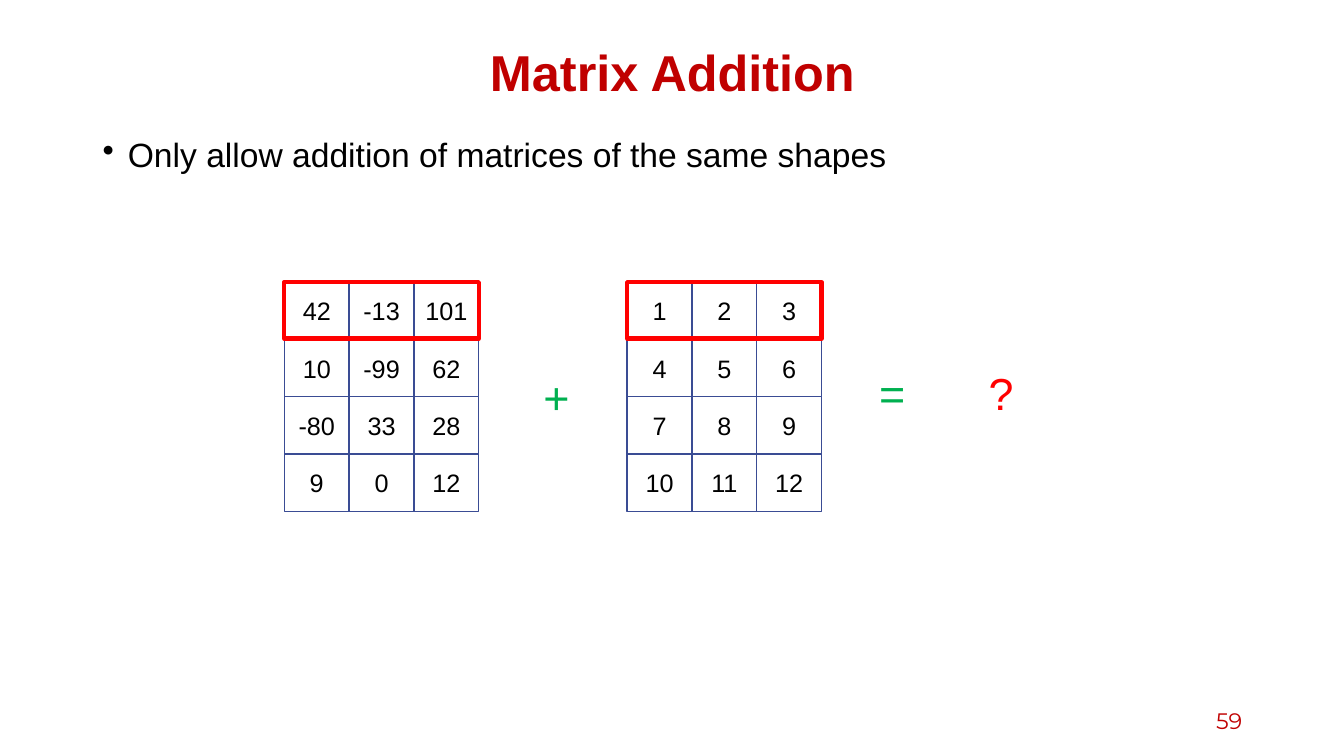
from lxml import etree
from pptx import Presentation
from pptx import util as u
from pptx.dml.color import RGBColor
from pptx.enum import shapes, text
from pptx.oxml.ns import qn

WIDE, HIGH = 13.33, 7.5
CELL_W, CELL_H = 0.643, 0.568
TOP = 2.8
RED, DARK, GREEN, BLACK = "FF0000", "C00000", "00B050", "000000"
MID, LEFT, RIGHT = text.PP_ALIGN.CENTER, text.PP_ALIGN.LEFT, text.PP_ALIGN.RIGHT

TITLE = "Matrix Addition"
POINT = "Only allow addition of matrices of the same shapes"
PAGE = "59"
MATRICES = [
    (2.82, [(42, -13, 101), (10, -99, 62), (-80, 33, 28), (9, 0, 12)]),
    (6.22, [(1, 2, 3), (4, 5, 6), (7, 8, 9), (10, 11, 12)]),
]
SIGNS = [("?", 9.55, 3.58, RED), ("=", 8.47, 3.58, GREEN), ("+", 5.14, 3.62, GREEN)]


def color(code):
    return RGBColor.from_string(code)


def write(shape, words, size, tone, align=MID, font="Arial", middle=True):
    frame = shape.text_frame
    frame.word_wrap = True
    frame.vertical_anchor = text.MSO_ANCHOR.MIDDLE if middle else text.MSO_ANCHOR.TOP
    para = frame.paragraphs[0]
    para.text = words
    para.alignment = align
    para.font.size = u.Pt(size)
    para.font.name = font
    para.font.color.rgb = color(tone)
    return para


def label(box, *args, **opts):
    return write(slide.shapes.add_textbox(*map(u.Inches, box)), *args, **opts)


def frame_box(parent, box, edge, width, fill=None):
    rect = parent.add_shape(shapes.MSO_SHAPE.RECTANGLE, *map(u.Inches, box))
    rect.shadow.inherit = False
    if fill:
        rect.fill.solid()
        rect.fill.fore_color.rgb = color(fill)
    else:
        rect.fill.background()
    rect.line.color.rgb = color(edge)
    rect.line.width = u.Pt(width)
    return rect


def draw_matrix(left, rows):
    group = slide.shapes.add_group_shape().shapes
    for r, row in enumerate(rows):
        for c, value in enumerate(row):
            box = left + c * CELL_W, TOP + r * CELL_H, CELL_W, CELL_H
            cell = frame_box(group, box, "3A4C94", 1, "FFFFFF")
            cell.text_frame.margin_left = cell.text_frame.margin_right = 0
            write(cell, str(value), 18, BLACK)


deck = Presentation()
deck.slide_width, deck.slide_height = u.Inches(WIDE), u.Inches(HIGH)
slide = deck.slides.add_slide(deck.slide_layouts[6])

title = label((0.92, 0.4, 11.5, 0.7), TITLE, 36, DARK)
title.font.bold = True
title.line_spacing = 0.9

point = label((0.92, 1.32, 11.5, 5.51), POINT, 24, BLACK, align=LEFT, middle=False)
point.line_spacing = 0.9
props = point._p.get_or_add_pPr()
props.set("marL", str(u.Inches(0.25)))
props.set("indent", str(u.Inches(-0.25)))
mark = etree.Element(qn("a:buChar"), char="•")
props.find(qn("a:lnSpc")).addnext(mark)

label((9.42, 6.95, 3, 0.4), PAGE, 16, DARK, align=RIGHT, font="Montserrat")

for left, rows in MATRICES:
    draw_matrix(left, rows)
for sign, left, top, tone in SIGNS:
    label((left, top, 0.76, 0.64), sign, 32, tone, middle=False)
for left, rows in MATRICES:
    frame_box(slide.shapes, (left, TOP, len(rows[0]) * CELL_W, 0.56), RED, 3)

deck.save("out.pptx")
